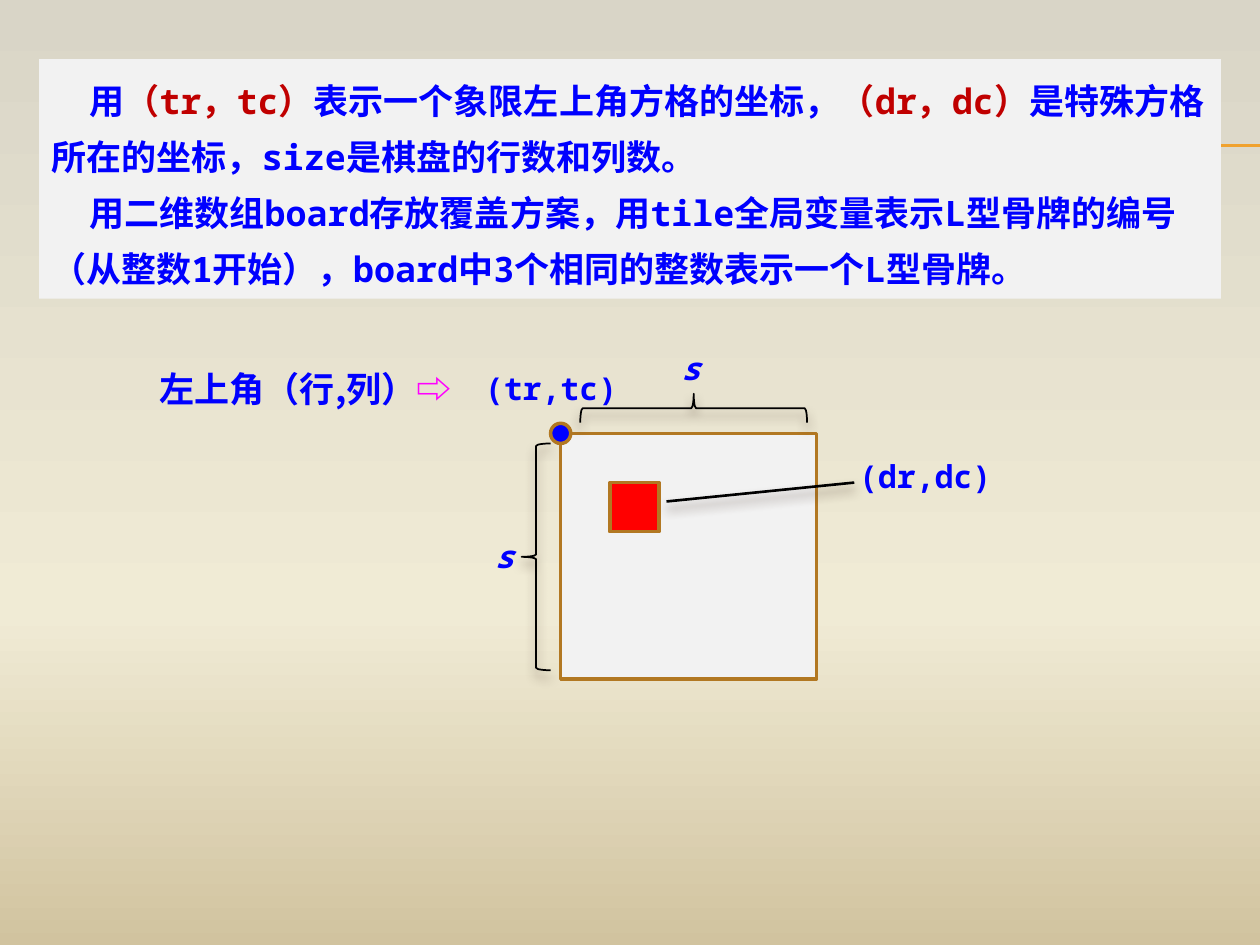
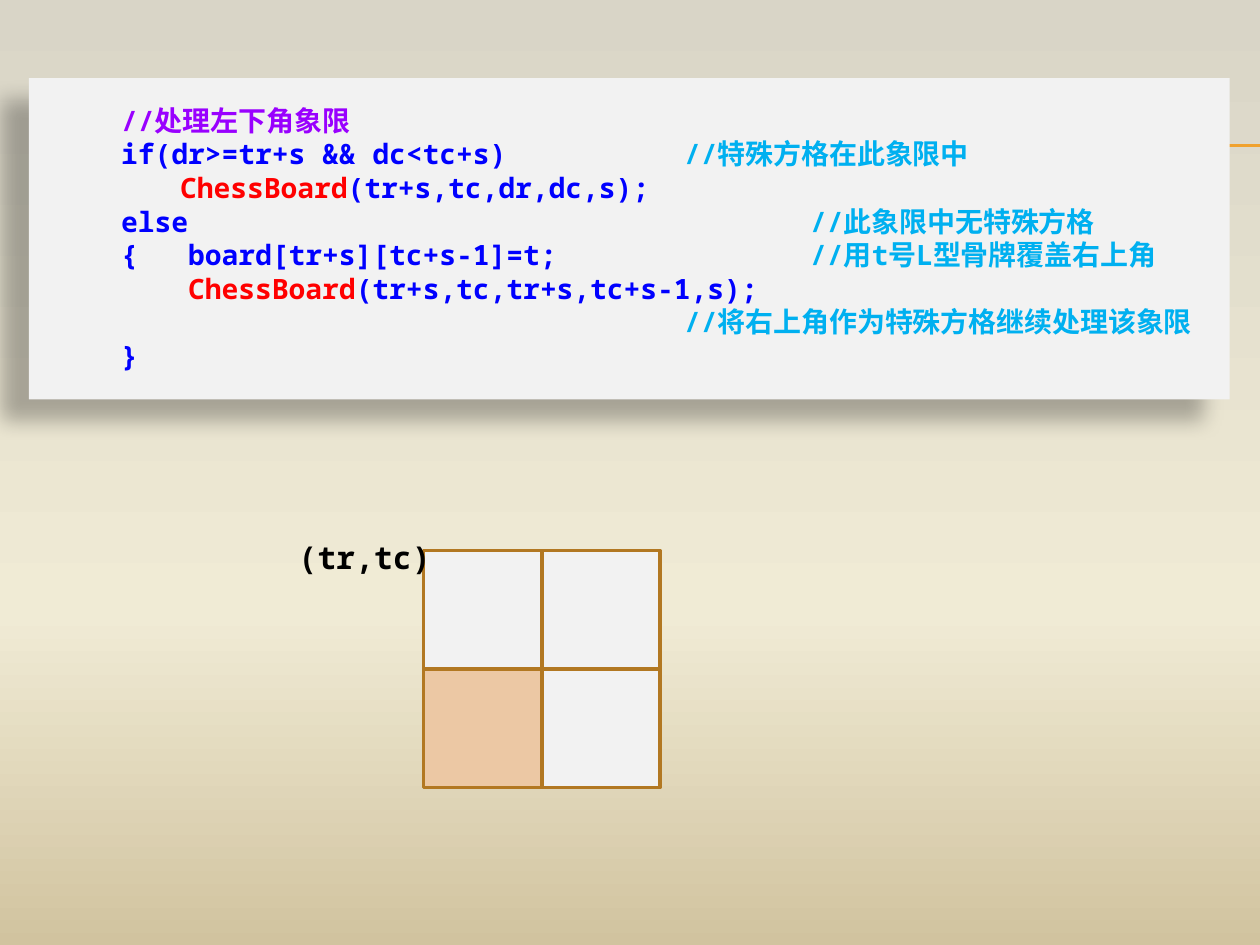
from dataclasses import dataclass
from typing import Any, Optional

import lxml.etree
import pptx
import pptx.dml.color
import pptx.enum.shapes
import pptx.enum.text
import pptx.oxml.ns
import pptx.util

Inches = pptx.util.Inches
Pt = pptx.util.Pt
qn = pptx.oxml.ns.qn
SHAPE = pptx.enum.shapes.MSO_SHAPE

MONO = "Noto Sans Mono"
HAN = "Noto Sans CJK SC"
BLUE, RED, BLACK = "0000FF", "FF0000", "000000"
CRIMSON, PINK, PURPLE, SKY = "C00000", "FF00FF", "9900FF", "00B0F0"
PANEL, EDGE, RULE, TAN = "F2F2F2", "B27822", "F0A22E", "ECC8A4"
STOPS = ((0, "D9D5C7"), (65, "F0EBD5"), (100, "D1C39F"))


@dataclass(frozen=True)
class Shadow:
    color: str
    alpha: float
    blur: float
    dist: float
    angle: float


@dataclass(frozen=True)
class Box:
    left: float
    top: float
    width: float
    height: float
    fill: Optional[str] = None
    line: Optional[str] = None
    weight: float = 2
    kind: Any = SHAPE.RECTANGLE
    turn: float = 0
    shadow: Optional[Shadow] = None

    def place(self) -> list:
        return [Inches(v) for v in (self.left, self.top, self.width, self.height)]


@dataclass(frozen=True)
class Label:
    left: float
    top: float
    width: float
    text: str
    color: str = BLUE
    italic: bool = False


@dataclass(frozen=True)
class Code:
    """One line of code: coloured pieces and the tab stop they use."""
    pieces: tuple
    stop: float = 5


SOFT = Shadow("4E3B30", 60, 6, 4, 90)
DEEP = Shadow(BLACK, 28, 11.8, 19.7, 141)


def paint(target: Any, color: str) -> None:
    """Give a fill or a font a solid colour."""
    fill = getattr(target, "fill", target)
    fill.solid()
    fill.fore_color.rgb = pptx.dml.color.RGBColor.from_string(color)


def child(parent: Any, tag: str, **attrs: Any) -> Any:
    return lxml.etree.SubElement(
        parent, qn(tag), {k: str(v) for k, v in attrs.items()})


def shade(shape: Any, shadow: Optional[Shadow]) -> None:
    """End the shape's properties with its own shadow, or with none."""
    effects = child(shape._element.spPr, "a:effectLst")
    if shadow:
        outer = child(effects, "a:outerShdw", blurRad=Pt(shadow.blur),
                      dist=Pt(shadow.dist), dir=int(shadow.angle * 60000),
                      algn="ctr", rotWithShape=0)
        color = child(outer, "a:srgbClr", val=shadow.color)
        child(color, "a:alpha", val=int(shadow.alpha * 1000))


def draw(slide: Any, box: Box) -> Any:
    shape = slide.shapes.add_shape(box.kind, *box.place())
    shape.rotation = box.turn
    if box.fill:
        paint(shape, box.fill)
    else:
        shape.fill.background()
    if box.line:
        paint(shape.line, box.line)
        shape.line.width = Pt(box.weight)
    else:
        shape.line.fill.background()
    shade(shape, box.shadow)
    return shape


def link(slide: Any, start: tuple, end: tuple, color: str, weight: float,
         shadow: Optional[Shadow] = None) -> None:
    line = slide.shapes.add_connector(
        pptx.enum.shapes.MSO_CONNECTOR.STRAIGHT,
        *[Inches(v) for v in start + end])
    paint(line.line, color)
    line.line.width = Pt(weight)
    shade(line, shadow)


def write(para: Any, text: str, *, size: float, color: str = BLUE,
          font: str = MONO, italic: bool = False) -> None:
    run = para.add_run()
    run.text = text
    run.font.size = Pt(size)
    run.font.bold = True
    run.font.italic = italic
    run.font.name = font
    paint(run.font, color)
    child(run.font._element, "a:ea", typeface=HAN)


def frame(shape: Any, left: float = 0.1, edge: float = 0.05) -> Any:
    """Set the text margins and anchor the text at the top."""
    text = shape.text_frame
    text.word_wrap = True
    text.vertical_anchor = pptx.enum.text.MSO_ANCHOR.TOP
    text.margin_left, text.margin_right = Inches(left), Inches(0.1)
    text.margin_top = text.margin_bottom = Inches(edge)
    return text


def fill(text: Any, lines: list, *, size: float, pitch: float) -> list:
    """Write lines of (text, colour) pieces at a fixed line pitch."""
    paras = []
    for i, pieces in enumerate(lines):
        para = text.paragraphs[0] if i == 0 else text.add_paragraph()
        para.alignment = pptx.enum.text.PP_ALIGN.LEFT
        para.line_spacing = Pt(pitch)
        for piece, color in pieces:
            write(para, piece, size=size, color=color)
        paras.append(para)
    return paras


def tag(slide: Any, label: Label) -> None:
    box = slide.shapes.add_textbox(
        Inches(label.left), Inches(label.top), Inches(label.width), Inches(0.4))
    write(frame(box).paragraphs[0], label.text, size=18,
          color=label.color, italic=label.italic)


def backdrop(master: Any) -> None:
    master.background.fill.gradient()
    grad = master._element.find(".//" + qn("a:gradFill"))
    for old in list(grad):
        grad.remove(old)
    stops = child(grad, "a:gsLst")
    for pos, color in STOPS:
        child(child(stops, "a:gs", pos=pos * 1000), "a:srgbClr", val=color)
    child(grad, "a:lin", ang=90 * 60000, scaled=0)


def page(deck: Any) -> Any:
    """Add a blank slide with the double rule."""
    slide = deck.slides.add_slide(deck.slide_layouts[6])
    for y in (1.15, 1.16):
        link(slide, (0.56, y), (10, y), RULE, 0.75)
    return slide


def terms(deck: Any) -> None:
    slide = page(deck)
    intro = draw(slide, Box(0.31, 0.47, 9.38, 1.9, PANEL))
    lines = [
        (("用", BLUE), ("（tr，tc）", CRIMSON),
         ("表示一个象限左上角方格的坐标，", BLUE), ("（dr，dc）", CRIMSON),
         ("是特殊方格所在的坐标，size是棋盘的行数和列数。", BLUE)),
        (("用二维数组board存放覆盖方案，用tile全局变量表示L型骨牌的编号"
          "（从整数1开始），board中3个相同的整数表示一个L型骨牌。", BLUE),),
    ]
    for para in fill(frame(intro), lines, size=20, pitch=32):
        para._p.get_or_add_pPr().set("indent", str(Inches(0.3)))

    board = Box(4.45, 3.44, 2.03, 1.95, PANEL, EDGE)
    cell = Box(4.84, 3.83, 0.39, 0.39, RED, EDGE)
    corner = Box(4.37, 3.36, 0.16, 0.16, BLUE, EDGE, kind=SHAPE.OVAL)
    for box in (board, cell, corner):
        draw(slide, box)
    for left, top, turn in ((4.14, 3.52, 0), (5.39, 2.34, 90)):
        draw(slide, Box(left, top, 0.23, 1.8, None, BLACK, 1,
                        SHAPE.LEFT_BRACE, turn, SOFT))
    link(slide, (5.29, 3.98), (6.78, 3.83), BLACK, 1.5, SOFT)
    for label in (Label(3.75, 2.88, 1.33, "(tr,tc)"),
                  Label(6.72, 3.58, 1.33, "(dr,dc)"),
                  Label(3.83, 4.21, 0.31, "s", italic=True),
                  Label(5.31, 2.72, 0.31, "s", italic=True)):
        tag(slide, label)
    hint = slide.shapes.add_textbox(
        Inches(1.17), Inches(2.87), Inches(2.66), Inches(0.44))
    para = frame(hint).paragraphs[0]
    for text, color in (("左上角（行,列）", BLUE), ("⇨", PINK)):
        write(para, text, size=20, color=color, font=HAN)


def listing(deck: Any) -> None:
    slide = page(deck)
    call = ("ChessBoard", RED)
    lines = [
        Code((("    //处理左下角象限", PURPLE),)),
        Code((("    if(dr>=tr+s && dc<tc+s)\t", BLUE),
              ("//特殊方格在此象限中", SKY))),
        Code((("\t", BLUE), call, ("(tr+s,tc,dr,dc,s);", BLUE)), 1),
        Code((("    else\t", BLUE), ("//此象限中无特殊方格", SKY)), 6),
        Code((("    {   board[tr+s][tc+s-1]=t;\t", BLUE),
              ("//用t号L型骨牌覆盖右上角", SKY)), 6),
        Code((("        ", BLUE), call, ("(tr+s,tc,tr+s,tc+s-1,s);", BLUE))),
        Code((("\t", BLUE), ("//将右上角作为特殊方格继续处理该象限", SKY))),
        Code((("    }", BLUE),)),
    ]
    panel = draw(slide, Box(0.23, 0.62, 9.53, 2.55, PANEL, shadow=DEEP))
    paras = fill(frame(panel, left=0.2, edge=0.2),
                 [line.pieces for line in lines], size=16, pitch=19.2)
    for para, line in zip(paras, lines):
        tabs = child(para._p.get_or_add_pPr(), "a:tabLst")
        child(tabs, "a:tab", pos=Inches(line.stop), algn="l")

    side = 0.94
    for row in range(2):
        for col in range(2):
            color = TAN if (row, col) == (1, 0) else PANEL
            draw(slide, Box(3.36 + col * side, 4.37 + row * side,
                            side, side, color, EDGE))
    tag(slide, Label(2.27, 4.22, 1.33, "(tr,tc)", BLACK))


def main() -> None:
    deck = pptx.Presentation()
    deck.slide_width, deck.slide_height = Inches(10), Inches(7.5)
    backdrop(deck.slide_master)
    terms(deck)
    listing(deck)
    deck.save("out.pptx")


if __name__ == "__main__":
    main()
